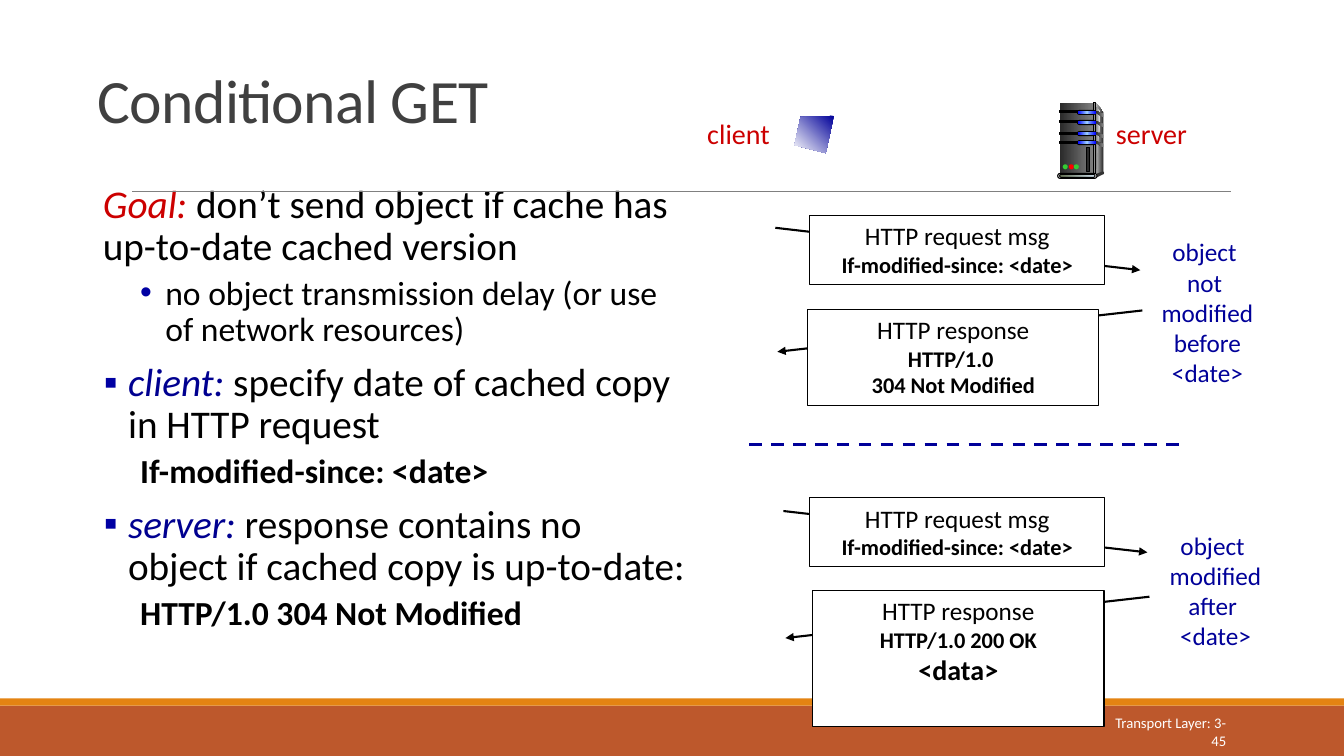
from copy import deepcopy

from lxml import etree
from pptx import Presentation
from pptx.dml.color import RGBColor
from pptx.enum.dml import MSO_LINE
from pptx.enum.shapes import MSO_CONNECTOR, MSO_SHAPE
from pptx.enum.text import MSO_ANCHOR, MSO_AUTO_SIZE, PP_ALIGN
from pptx.oxml.ns import qn
from pptx.util import Inches, Pt

RECT, ROUND, OVAL = MSO_SHAPE.RECTANGLE, MSO_SHAPE.ROUNDED_RECTANGLE, MSO_SHAPE.OVAL
STRAIGHT, DASH = MSO_CONNECTOR.STRAIGHT, MSO_LINE.DASH
TOP, MIDDLE, BOTTOM = MSO_ANCHOR.TOP, MSO_ANCHOR.MIDDLE, MSO_ANCHOR.BOTTOM
LEFT, CENTER, RIGHT = PP_ALIGN.LEFT, PP_ALIGN.CENTER, PP_ALIGN.RIGHT
NO_FIT = MSO_AUTO_SIZE.NONE

FONT = "Calibri"
BLACK = RGBColor(0x00, 0x00, 0x00)
WHITE = RGBColor(0xFF, 0xFF, 0xFF)
RUST = RGBColor(0xBD, 0x58, 0x2C)
ORANGE = RGBColor(0xE4, 0x83, 0x12)
GRAY = RGBColor(0x80, 0x80, 0x80)
TITLE_GRAY = RGBColor(0x40, 0x40, 0x40)
CHARCOAL = RGBColor(0x33, 0x33, 0x33)
DARK = RGBColor(0x29, 0x29, 0x29)
SILVER = RGBColor(0xDD, 0xDD, 0xDD)
PALE = RGBColor(0xF8, 0xF8, 0xF8)
RED = RGBColor(0xCC, 0x00, 0x00)
NAVY = RGBColor(0x00, 0x00, 0x99)
TERM_BLUE = RGBColor(0x00, 0x00, 0x90)
BULLET_BLUE = RGBColor(0x00, 0x00, 0xA3)
BLUE = RGBColor(0x00, 0x00, 0xFF)
SKY = RGBColor(0x99, 0xCC, 0xFF)
OLIVE = RGBColor(0x63, 0x70, 0x52)
ICE = RGBColor(0xCC, 0xDD, 0xEA)
LED_GREEN = RGBColor(0x33, 0xCC, 0x33)
LED_RED = RGBColor(0xFF, 0x00, 0x00)

# Body paragraphs: level, left margin, indent, bullet, runs (text, colour, bold, italic)
BODY = [
    (0, 0.14, 0, None, [("Goal:", RED, False, True),
                        (" don’t send object if cache has up-to-date cached version", BLACK, False, False)]),
    (1, 0.76, -0.25, "•", [("no object transmission delay (or use of network resources)", BLACK, False, False)]),
    (0, 0.39, -0.24, "▪", [("client: ", TERM_BLUE, False, True),
                           ("specify date of cached copy in HTTP request", BLACK, False, False)]),
    (1, 0.76, -0.25, None, [("If-modified-since: <date>", BLACK, True, False)]),
    (0, 0.39, -0.24, "▪", [("server: ", TERM_BLUE, False, True),
                           ("response contains no object if cached copy is up-to-date:", BLACK, False, False)]),
    (1, 0.76, -0.25, None, [("HTTP/1.0 304 Not Modified", BLACK, True, False)]),
]

# Messages: arrow start, arrow end, box, lines (text, size, bold)
REQUEST = [("HTTP request msg", 18, False), ("If-modified-since: <date>", 16, True)]
MESSAGES = [
    ((7.69, 2.26), (11.31, 2.68), (8.03, 2.14, 2.93, 0.68), REQUEST),
    ((11.33, 3.08), (7.71, 3.49), (8.01, 3.07, 2.89, 0.95),
     [("HTTP response", 18, False), ("HTTP/1.0 ", 16, True), ("304 Not Modified", 16, True)]),
    ((7.77, 5.07), (11.38, 5.48), (8.03, 4.94, 2.93, 0.68), REQUEST),
    ((11.4, 5.92), (7.79, 6.33), (8.06, 5.86, 2.89, 1.35),
     [("HTTP response", 18, False), ("HTTP/1.0 200 OK", 16, True), ("<data>", 20, True)]),
]

# Labels: box, size, colour, lines
LABELS = [
    ((11.4, 2.3, 1.15, 1.6), 18, NAVY, ["object ", "not ", "modified", "before", "<date>"]),
    ((11.48, 5.21, 1.15, 1.3), 18, NAVY, ["object ", "modified", "after ", "<date>"]),
    ((6.9, 1.11, 0.85, 0.43), 20, RED, ["client"]),
    ((10.96, 1.11, 0.92, 0.44), 20, RED, ["server"]),
]


def place(s, box):
    s.left, s.top, s.width, s.height = map(Inches, box)


def style_run(r, size, color, bold=False, italic=False):
    f = r.font
    f.name, f.size, f.bold, f.italic = FONT, Pt(size), bold, italic
    f.color.rgb = color


def paint(sp, colors, angle=0, outline=False):
    """Fill with one colour, or with a gradient of two or three."""
    sp.shadow.inherit = False
    if len(colors) == 1:
        sp.fill.solid()
        sp.fill.fore_color.rgb = colors[0]
    else:
        sp.fill.gradient()
        sp.fill.gradient_angle = angle
        if len(colors) == 3:
            stops = sp.element.spPr.find(".//" + qn("a:gsLst"))
            stops.insert(1, deepcopy(stops[0]))
            stops[1].set("pos", "50000")
        for stop, color in zip(sp.fill.gradient_stops, colors):
            stop.color.rgb = color
    if outline:
        sp.line.color.rgb = BLACK
        sp.line.width = Pt(0.75)
    else:
        sp.line.fill.background()


def add_block(s, kind, box, *colors, outline=False):
    sp = s.shapes.add_shape(kind, *map(Inches, box))
    if kind == ROUND:
        sp.adjustments[0] = 0.5
    paint(sp, colors, outline=outline)
    return sp


def add_outline(s, points, *colors, angle=0):
    pts = [(Inches(x), Inches(y)) for x, y in points]
    builder = s.shapes.build_freeform(*pts[0])
    builder.add_line_segments(pts[1:], close=True)
    paint(builder.convert_to_shape(), colors, angle)


def add_line(s, start, end, color, width, arrow=False, dash=None):
    c = s.shapes.add_connector(STRAIGHT, *map(Inches, start + end))
    c.line.color.rgb = color
    c.line.width = Pt(width)
    if dash:
        c.line.dash_style = dash
    if arrow:
        etree.SubElement(c.element.spPr.find(qn("a:ln")), qn("a:tailEnd"), type="triangle")
    etree.SubElement(c.element.spPr, qn("a:effectLst"))


def write_lines(sp, lines, color, align=CENTER, anchor=TOP, wrap=True):
    tf = sp.text_frame
    tf.word_wrap, tf.vertical_anchor = wrap, anchor
    tf.text = "\n".join(text for text, _, _ in lines)
    for p, (_, size, bold) in zip(tf.paragraphs, lines):
        p.alignment = align
        style_run(p.runs[0], size, color, bold)


def add_title(s):
    place(s.shapes.title, (0.87, 0.42, 11.5, 0.98))
    write_lines(s.shapes.title, [("Conditional GET", 44, False)], TITLE_GRAY, LEFT, BOTTOM)
    s.shapes.title.text_frame.auto_size = NO_FIT
    p = s.shapes.title.text_frame.paragraphs[0]
    p.line_spacing = 0.85
    p.runs[0].font._element.set("spc", "-50")


def add_bullet(pPr, char):
    if char is None:
        etree.SubElement(pPr, qn("a:buNone"))
        return
    clr = etree.SubElement(pPr, qn("a:buClr"))
    etree.SubElement(clr, qn("a:srgbClr"), val=str(BULLET_BLUE))
    etree.SubElement(pPr, qn("a:buFont"), typeface="Arial")
    etree.SubElement(pPr, qn("a:buChar"), char=char)


def add_body(s):
    body = s.placeholders[1]
    place(body, (0.78, 1.78, 6.12, 5.61))
    tf = body.text_frame
    tf.auto_size, tf.vertical_anchor = NO_FIT, TOP
    for i, (level, margin, indent, char, runs) in enumerate(BODY):
        p = tf.add_paragraph() if i else tf.paragraphs[0]
        pPr = p._p.get_or_add_pPr()
        pPr.set("marL", str(Inches(margin)))
        pPr.set("indent", str(Inches(indent)))
        add_bullet(pPr, char)
        p.level, p.line_spacing = level, 0.9
        p.space_before = Pt((5 if level else 10) if i else 0)
        for text, color, bold, italic in runs:
            r = p.add_run()
            r.text = text
            style_run(r, 24 if level else 28, color, bold, italic)


def add_server(s):
    # Cabinet: side, front and edge
    add_outline(s, [(10.87, 1.02), (10.94, 1.11), (10.94, 1.7), (10.85, 1.74)], SILVER, CHARCOAL)
    add_block(s, RECT, (10.51, 1.02, 0.34, 0.72), DARK, GRAY)
    add_outline(s, [(10.87, 1.06), (10.92, 1.12), (10.89, 1.4), (10.87, 1.72)], GRAY, PALE)
    add_block(s, RECT, (10.85, 1.02, 0.02, 0.72), CHARCOAL, SILVER, CHARCOAL, outline=True)
    # Drive slots with side vents
    for y in (1.1, 1.2, 1.31, 1.4):
        add_block(s, RECT, (10.51, y, 0.19, 0.02), BLACK, outline=True)
        add_block(s, ROUND, (10.68, y - 0.01, 0.19, 0.05), BLACK)
        add_block(s, ROUND, (10.69, y, 0.18, 0.03), BLUE, SKY, BLUE)
        add_outline(s, [(10.87, y), (10.94, y + 0.03), (10.94, y + 0.06), (10.87, y + 0.02)], DARK, GRAY)
    # Base, lights and handle
    add_block(s, OVAL, (10.93, 1.7, 0.02, 0.03), CHARCOAL)
    add_outline(s, [(10.86, 1.73), (10.86, 1.77), (10.94, 1.73), (10.94, 1.7)], CHARCOAL)
    add_block(s, ROUND, (10.49, 1.72, 0.39, 0.05), SILVER, outline=True)
    add_block(s, ROUND, (10.51, 1.73, 0.35, 0.03), OLIVE, ICE, outline=True)
    for x, color in ((10.54, LED_GREEN), (10.6, LED_RED), (10.65, LED_GREEN)):
        add_block(s, OVAL, (x, 1.63, 0.05, 0.05), color)
    add_block(s, RECT, (10.78, 1.46, 0.03, 0.24), DARK, outline=True)


def main():
    prs = Presentation()
    prs.slide_width, prs.slide_height = Inches(13.33), Inches(7.5)
    s = prs.slides.add_slide(prs.slide_layouts[1])

    # Footer bars, rule and page label
    add_block(s, RECT, (0, 7, 13.33, 0.5), RUST)
    add_block(s, RECT, (0, 6.93, 13.33, 0.07), ORANGE)
    add_line(s, (1.31, 1.9), (12.21, 1.9), GRAY, 0.5)
    page = s.shapes.add_textbox(*map(Inches, (10.83, 7.06, 1.43, 0.4)))
    write_lines(page, [("Transport Layer: 3-45", 10.5, False)], WHITE, RIGHT, MIDDLE)

    add_title(s)
    add_body(s)

    # Message exchange
    for start, end, box, lines in MESSAGES:
        add_line(s, start, end, BLACK, 1.5, arrow=True)
        write_lines(add_block(s, RECT, box, WHITE, outline=True), lines, BLACK)
    add_line(s, (7.43, 4.41), (11.7, 4.41), NAVY, 2.25, dash=DASH)
    for box, size, color, lines in LABELS:
        label = s.shapes.add_textbox(*map(Inches, box))
        write_lines(label, [(text, size, False) for text in lines], color, wrap=False)

    # Server and client screen
    add_server(s)
    add_outline(s, [(8.27, 1.15), (7.94, 1.16), (7.88, 1.44), (8.19, 1.52)], NAVY, WHITE, angle=225)
    prs.save("out.pptx")


if __name__ == "__main__":
    main()
